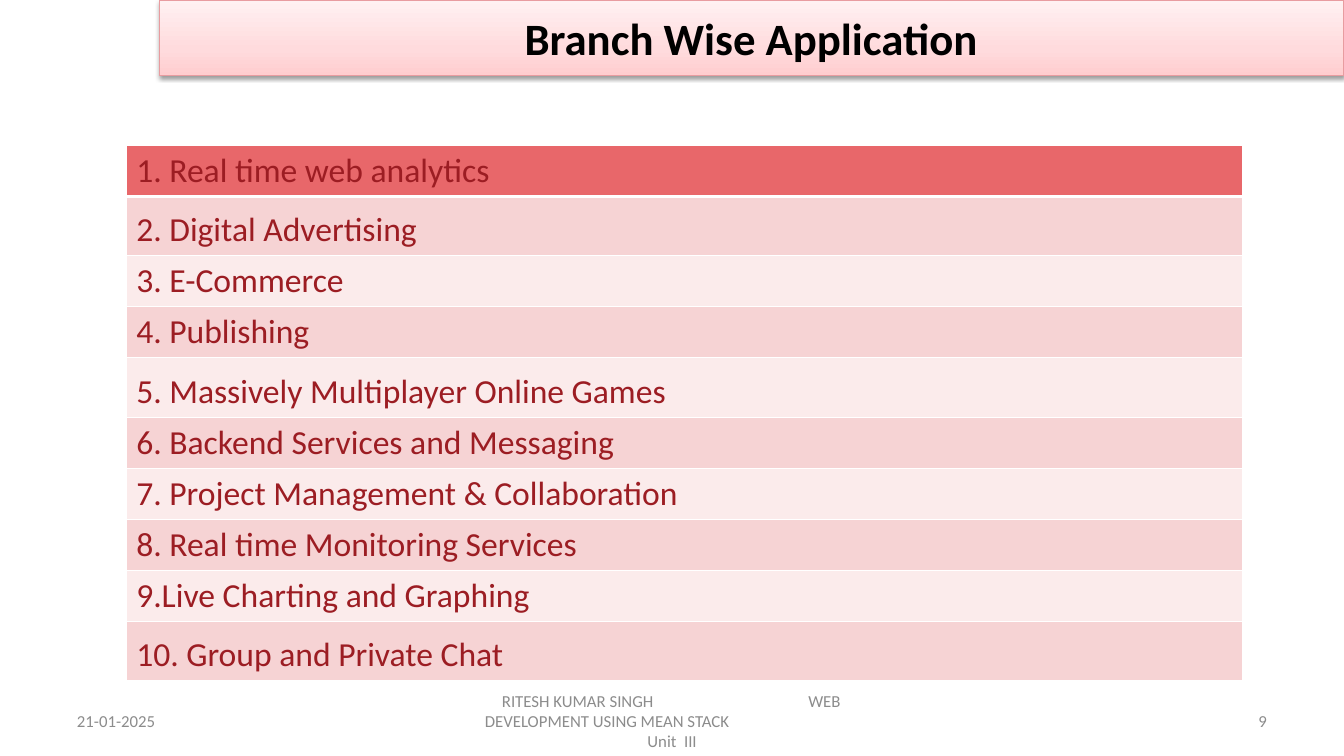
from lxml.etree import SubElement
from pptx import Presentation
from pptx.dml.color import RGBColor
from pptx.enum.text import MSO_ANCHOR, PP_ALIGN
from pptx.oxml import parse_xml
from pptx.oxml.ns import nsdecls, qn
from pptx.util import Cm, Pt


def rgb(value):
    return RGBColor.from_string(value)


def add_run(paragraph, text, size, color, bold=False):
    run = paragraph.add_run()
    run.text = text
    run.font.name = "Calibri"
    run.font.size = Pt(size)
    run.font.bold = bold
    run.font.color.rgb = rgb(color)


deck = Presentation()
deck.slide_width, deck.slide_height = Cm(33.87), Cm(19.05)
slide = deck.slides.add_slide(deck.slide_layouts[5])

# Title banner: gradient, thin outline and soft shadow
banner = slide.shapes.title
banner.left, banner.top, banner.width, banner.height = Cm(4.01), Cm(0), Cm(29.85), Cm(1.9)
stops = "".join(
    f'<a:gs pos="{percent * 1000}"><a:srgbClr val="{color}"/></a:gs>'
    for percent, color in [(0, "FFCDCF"), (35, "FFDBDD"), (100, "FFF1F2")]
)
properties = banner._element.spPr
properties.append(parse_xml(f'<a:prstGeom {nsdecls("a")} prst="rect"><a:avLst/></a:prstGeom>'))
properties.append(parse_xml(
    f'<a:gradFill {nsdecls("a")} rotWithShape="1"><a:gsLst>{stops}</a:gsLst>'
    '<a:lin ang="16200000" scaled="0"/></a:gradFill>'
))
banner.line.color.rgb = rgb("E89CA0")
banner.line.width = Pt(0.75)
properties.append(parse_xml(
    f'<a:effectLst {nsdecls("a")}><a:outerShdw blurRad="{Pt(3.1)}" dist="{Pt(1.6)}" dir="5400000" '
    'rotWithShape="0"><a:srgbClr val="000000"><a:alpha val="38000"/></a:srgbClr>'
    '</a:outerShdw></a:effectLst>'
))
banner.text_frame.vertical_anchor = MSO_ANCHOR.MIDDLE
heading = banner.text_frame.paragraphs[0]
heading.alignment = PP_ALIGN.CENTER
add_run(heading, "Branch Wise Application", 32, "000000", bold=True)

# Table of applications: text and line spacing
applications = [
    ("1. Real time web analytics", 1),
    ("2. Digital Advertising", 1.2),
    ("3. E-Commerce", 1),
    ("4. Publishing", 1),
    ("5. Massively Multiplayer Online Games", 1.2),
    ("6. Backend Services and Messaging", 1),
    ("7. Project Management & Collaboration", 1),
    ("8. Real time Monitoring Services", 1),
    ("9.Live Charting and Graphing", 1),
    ("10. Group and Private Chat", 1.2),
]
row_height = Cm(1.04)
table = slide.shapes.add_table(
    len(applications), 1, Cm(3.18), Cm(3.66), Cm(28.14), row_height * len(applications)
).table
table.first_row = table.horz_banding = False
for index, (application, spacing) in enumerate(applications):
    table.rows[index].height = row_height
    cell = table.cell(index, 0)
    entry = cell.text_frame.paragraphs[0]
    entry.line_spacing = spacing
    add_run(entry, application, 24, "9C1D23")

    # White borders, then the alternating fill
    for side in ("lnL", "lnR", "lnT", "lnB"):
        thick = (index, side) in [(0, "lnB"), (1, "lnT")]
        border = SubElement(cell._tc.get_or_add_tcPr(), qn(f"a:{side}"), w=str(Pt(3 if thick else 1)))
        SubElement(SubElement(border, qn("a:solidFill")), qn("a:srgbClr"), val="FFFFFF")
    cell.fill.solid()
    cell.fill.fore_color.rgb = rgb("E8676A" if index == 0 else ("FBEBEB", "F6D3D4")[index % 2])

# Footer: left, width, side inset, lines of (text, alignment, tab stops)
footer = [
    (1.69, 7.9, 0.25, [("21-01-2025", PP_ALIGN.LEFT, [])]),
    (11.58, 10.72, 0, [
        ("\tRITESH KUMAR SINGH\tWEB", PP_ALIGN.LEFT, [1.07, 8.79]),
        ("\tDEVELOPMENT USING MEAN STACK", PP_ALIGN.LEFT, [0.64]),
        ("Unit  III", PP_ALIGN.CENTER, []),
    ]),
    (24.28, 7.9, 0.25, [("9", PP_ALIGN.RIGHT, [])]),
]
for left, width, inset, lines in footer:
    frame = slide.shapes.add_textbox(Cm(left), Cm(17.65), Cm(width), Cm(1.02)).text_frame
    frame.word_wrap = True
    frame.vertical_anchor = MSO_ANCHOR.MIDDLE
    frame.margin_left = frame.margin_right = Cm(inset)
    for number, (text, alignment, tabs) in enumerate(lines):
        line = frame.add_paragraph() if number else frame.paragraphs[0]
        line.alignment = alignment
        if tabs:
            tab_list = SubElement(line._p.get_or_add_pPr(), qn("a:tabLst"))
            for tab in tabs:
                SubElement(tab_list, qn("a:tab"), pos=str(Cm(tab)), algn="l")
        add_run(line, text, 12, "8C8C8C")

deck.save("out.pptx")
